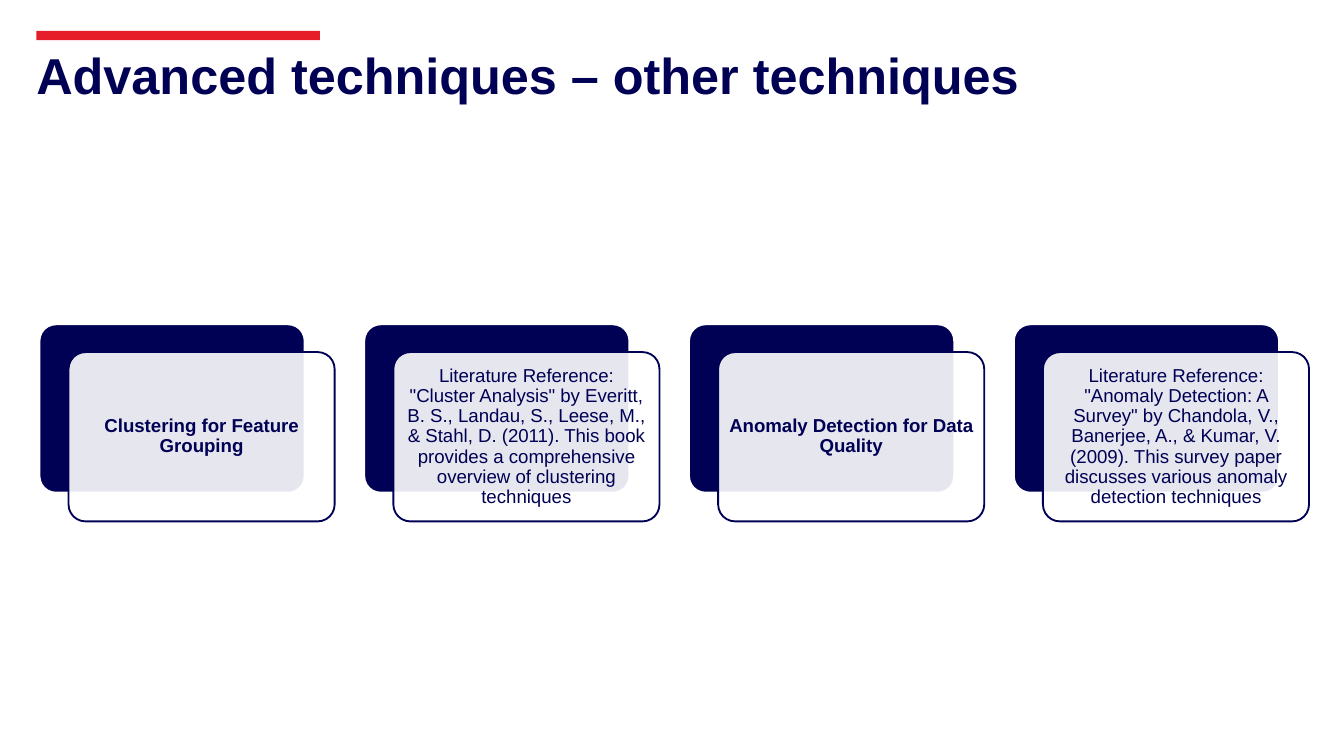
from lxml import etree
from pptx import Presentation
from pptx import util as u
from pptx.dml.color import RGBColor
from pptx.enum import shapes, text
from pptx.oxml.ns import qn

TITLE = "Advanced techniques – other techniques"
CARDS = [  # text, bold
    ("Clustering for Feature Grouping", True),
    ('Literature Reference: "Cluster Analysis" by Everitt, B. S., Landau, S., '
     "Leese, M., & Stahl, D. (2011). This book provides a comprehensive "
     "overview of clustering techniques", False),
    ("Anomaly Detection for Data Quality", True),
    ('Literature Reference: "Anomaly Detection: A Survey" by Chandola, V., '
     "Banerjee, A., & Kumar, V. (2009). This survey paper discusses various "
     "anomaly detection techniques", False),
]
HUES = {"navy": "000054", "red": "E61E2A", "white": "FFFFFF"}
LEFT, LAST, TOP = 0.29, 7.54, 2.41
STEP = (LAST - LEFT) / (len(CARDS) - 1)
WIDE, HIGH = 1.98, 1.26
SHIFT = (0.22, 0.21)  # front card against its backing
PAD = 0.04


def hue(name):
    return RGBColor.from_string(HUES[name])


def write(shape, words, size, bold, align, anchor, insets, after=0):
    frame = shape.text_frame
    frame.word_wrap = True
    frame.auto_size = text.MSO_AUTO_SIZE.NONE
    frame.vertical_anchor = anchor
    (frame.margin_left, frame.margin_top,
     frame.margin_right, frame.margin_bottom) = map(u.Inches, insets)
    para = frame.paragraphs[0]
    para.text = words
    para.alignment = align
    para.line_spacing = 0.9
    para.space_before = u.Pt(0)
    para.space_after = u.Pt(after)
    font = para.runs[0].font
    font.name, font.size, font.bold = "Arial", u.Pt(size), bold
    font.color.rgb = hue("navy")


def draw(slide, kind, box, fill, line=None, width=1, alpha=None):
    shape = slide.shapes.add_shape(kind, *map(u.Inches, box))
    shape.shadow.inherit = False
    shape.fill.solid()
    shape.fill.fore_color.rgb = hue(fill)
    if alpha:
        tint = shape.fill._xPr.find(qn("a:solidFill"))[0]
        etree.SubElement(tint, qn("a:alpha")).set("val", str(alpha * 1000))
    if line:
        shape.line.color.rgb = hue(line)
        shape.line.width = u.Pt(width)
    else:
        shape.line.fill.background()
    return shape


def card(slide, left, words, bold):
    kind = shapes.MSO_SHAPE.ROUNDED_RECTANGLE
    x, y = left + SHIFT[0], TOP + SHIFT[1]
    back = draw(slide, kind, (left, TOP, WIDE, HIGH), "navy", "white", 1.5)
    front = draw(slide, kind, (x, y, WIDE, HIGH), "white", "navy", alpha=90)
    for shape in (back, front):
        shape.adjustments[0] = 0.1
    box = (x + PAD, y + PAD, WIDE - 2 * PAD, HIGH - 2 * PAD)
    label = slide.shapes.add_textbox(*map(u.Inches, box))
    write(label, words, 10, bold, text.PP_ALIGN.CENTER,
          text.MSO_ANCHOR.MIDDLE, [PAD] * 4, after=3.5)


def main():
    deck = Presentation()
    deck.slide_width = u.Inches(10)
    deck.slide_height = deck.slide_width * 9 // 16
    slide = deck.slides.add_slide(deck.slide_layouts[5])
    draw(slide, shapes.MSO_SHAPE.RECTANGLE, (0.27, 0.23, 2.11, 0.07), "red")
    title = slide.shapes.title
    title.left, title.top, title.width, title.height = map(
        u.Inches, (0.27, 0.33, 9.48, 0.86))
    write(title, TITLE, 27, True, text.PP_ALIGN.LEFT,
          text.MSO_ANCHOR.TOP, (0, 0.05, 0.1, 0.05))
    for col, (words, bold) in enumerate(CARDS):
        card(slide, LEFT + col * STEP, words, bold)
    deck.save("out.pptx")


if __name__ == "__main__":
    main()
